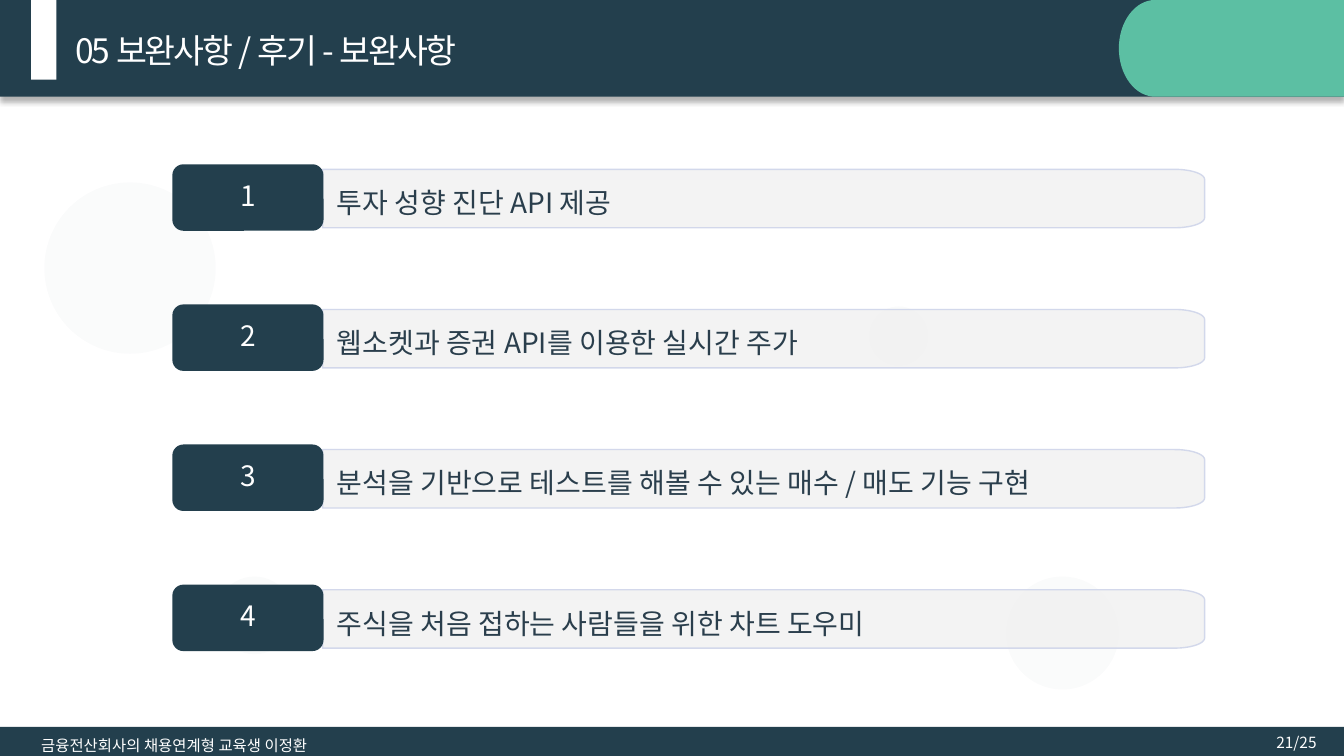
from math import cos, pi, sin

from lxml.etree import SubElement
from pptx import Presentation
from pptx.dml.color import RGBColor
from pptx.enum.shapes import MSO_SHAPE
from pptx.enum.text import MSO_ANCHOR, PP_ALIGN
from pptx.oxml.ns import qn
from pptx.util import Inches, Pt

COLORS = {"navy": "233F4D", "mint": "5CBFA3", "white": "FFFFFF", "blue": "013857",
          "grey": "F2F2F2", "edge": "CFD5EA", "ink": "2A3E4C"}
FONT = "Noto Sans CJK KR"
COLS, ROWS = 133.33, 75  # square cells, a tenth of an inch each
ITEMS = ["투자 성향 진단 API 제공",
         "웹소켓과 증권 API를 이용한 실시간 주가",
         "분석을 기반으로 테스트를 해볼 수 있는 매수 / 매도 기능 구현",
         "주식을 처음 접하는 사람들을 위한 차트 도우미"]
CIRCLES = [(4.4, 18.1, 17), (99.8, 57.2, 11.2), (21.4, 57.2, 7.7), (86.2, 30.4, 5.9)]


def cell(count):
    return Inches(count / 10)


def tint(paint, color, alpha):
    """Set a solid colour on a fill, with an opacity in percent."""
    paint.solid()
    paint.fore_color.rgb = RGBColor.from_string(COLORS[color])
    if alpha < 100:
        node = paint.fore_color._xFill.find(qn("a:srgbClr"))
        SubElement(node, qn("a:alpha"), val=str(alpha * 1000))


def write(shape, text, size=11, color="white", align=PP_ALIGN.LEFT, anchor=MSO_ANCHOR.TOP,
          lines=1.0, after=0, inset=(1, 0.5, 1, 0.5), track=0):
    """Fill a shape with one paragraph; inset runs left, top, right, bottom in cells."""
    frame = shape.text_frame
    frame.word_wrap = True
    frame.vertical_anchor = anchor
    (frame.margin_left, frame.margin_top,
     frame.margin_right, frame.margin_bottom) = map(cell, inset)
    para = frame.paragraphs[0]
    para.alignment = align
    para.line_spacing = lines
    para.space_after = Pt(after)
    run = para.add_run()
    run.text = text
    run.font.size = Pt(size)
    run.font.name = FONT
    run.font.color.rgb = RGBColor.from_string(COLORS[color])
    props = run.font._element
    SubElement(props, qn("a:ea"), typeface=FONT)
    if track:
        props.set("spc", str(int(track * 100)))


class Deck:
    def __init__(self):
        self.show = Presentation()
        self.show.slide_width, self.show.slide_height = cell(COLS), cell(ROWS)
        self.slide = self.show.slides.add_slide(self.show.slide_layouts[6])
        self.shapes = self.slide.shapes

    def style(self, shape, fill, alpha=100, edge=None):
        shape.shadow.inherit = False
        tint(shape.fill, fill, alpha)
        if edge:
            tint(shape.line.fill, edge, alpha)
            shape.line.width = Pt(1)
        else:
            shape.line.fill.background()
        return shape

    def block(self, kind, x, y, w, h, fill, alpha=100):
        shape = self.shapes.add_shape(kind, cell(x), cell(y), cell(w), cell(h))
        return self.style(shape, fill, alpha)

    def bulge(self, x, y, w, h, rx, ry, fill, left=False, **look):
        """Draw a rectangle whose right (or left) corners are elliptical."""
        arc = [i * pi / 32 for i in range(17)]
        curve = [(w - rx + rx * sin(t), ry - ry * cos(t)) for t in arc]
        curve += [(px, h - py) for px, py in reversed(curve)]
        points = [(0, 0)] + curve + [(0, h)]
        spots = [(cell(x + (w - px if left else px)), cell(y + py)) for px, py in points]
        path = self.shapes.build_freeform(*spots[0])
        path.add_line_segments(spots[1:], close=True)
        return self.style(path.convert_to_shape(), fill, **look)

    def label(self, text, x, y, w, h, **look):
        box = self.shapes.add_textbox(cell(x), cell(y), cell(w), cell(h))
        write(box, text, **look)

    def shade(self, shape):
        """Cast a soft shadow straight down."""
        glow = shape._element.spPr.find(qn("a:effectLst"))
        drop = SubElement(glow, qn("a:outerShdw"), blurRad=str(Pt(4)), dist=str(Pt(3)),
                          dir="5400000", algn="t", rotWithShape="0")
        black = SubElement(drop, qn("a:srgbClr"), val="000000")
        SubElement(black, qn("a:alpha"), val="30000")

    def frame(self):
        rect = MSO_SHAPE.RECTANGLE
        self.shade(self.block(rect, 0, 0, COLS, 9.6, "navy"))
        self.bulge(111, 0, COLS - 111, 9.6, 3.6, 4.8, "mint", left=True)
        self.block(rect, 0, 72.1, COLS, 2.9, "navy")
        self.block(rect, 3.1, 0, 2.5, 7.9, "white")
        self.label("21/25", 124.8, 72.2, 6.8, 2.9, align=PP_ALIGN.RIGHT)
        for x, y, size in CIRCLES:
            self.block(MSO_SHAPE.OVAL, x, y, size, size, "blue", alpha=2)
        self.label("금융전산회사의 채용연계형 교육생 이정환", 3.1, 71.6, 63.1, 3.5, lines=1.5)
        self.label("05 보완사항 / 후기 - 보완사항", 6.5, 1.4, 45.6, 6, size=24,
                   anchor=MSO_ANCHOR.MIDDLE, lines=1.3, track=-1.5)

    def item(self, number, text, y):
        bar = self.bulge(32, y + 0.5, 87.5, 5.8, 3, 1, "grey", alpha=90, edge="edge")
        write(bar, text, size=20, color="ink", anchor=MSO_ANCHOR.MIDDLE, lines=0.9,
              after=3, inset=(1.4, 2, 1.1, 0.8))
        tab = self.block(MSO_SHAPE.ROUNDED_RECTANGLE, 17.1, y, 15, 6.6, "navy")
        write(tab, str(number), size=20, align=PP_ALIGN.CENTER, anchor=MSO_ANCHOR.MIDDLE,
              lines=0.9, after=7, inset=(0.8,) * 4)


def main():
    deck = Deck()
    deck.frame()
    for index, text in enumerate(ITEMS):
        deck.item(index + 1, text, 16.3 + 13.9 * index)
    deck.show.save("out.pptx")


if __name__ == "__main__":
    main()
